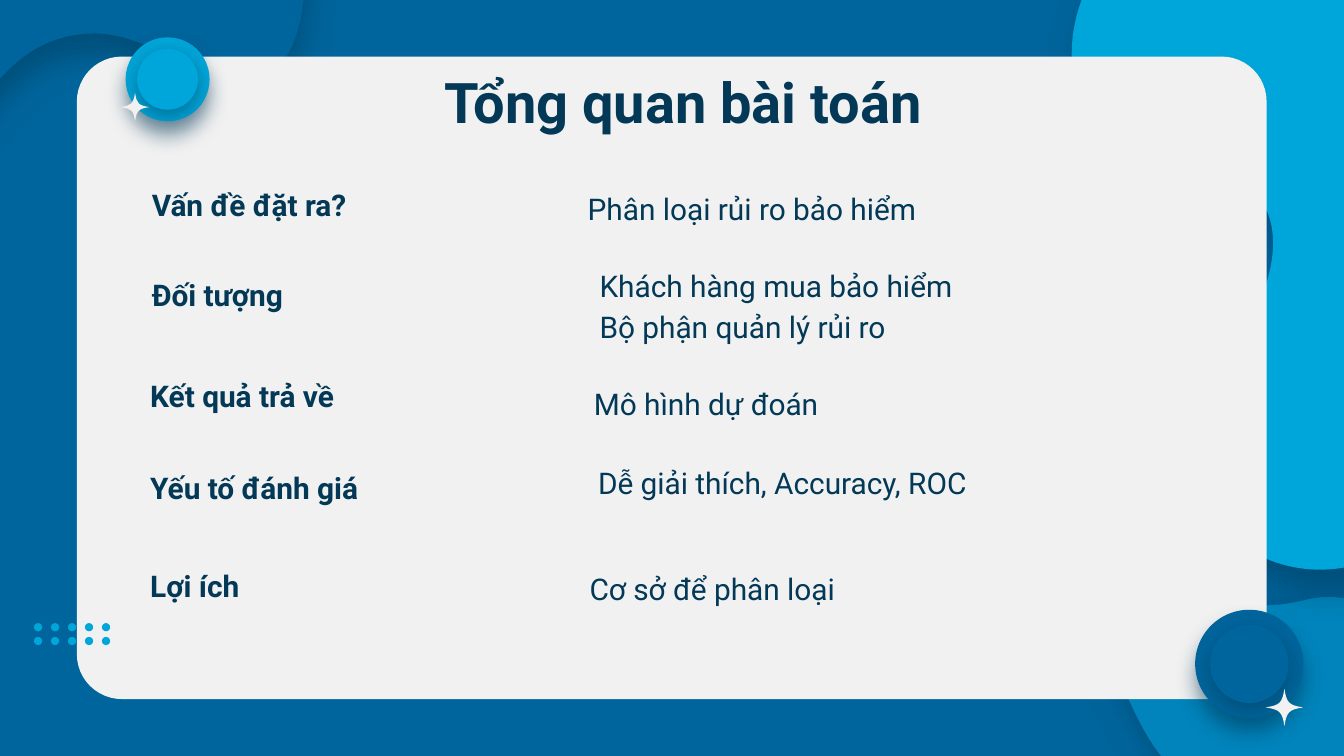
import pptx
import pptx.dml.color
import pptx.enum.shapes
import pptx.enum.text
import pptx.oxml.ns
import pptx.util
from lxml import etree

Pt = pptx.util.Pt
RGBColor = pptx.dml.color.RGBColor
MSO_SHAPE = pptx.enum.shapes.MSO_SHAPE
ALIGN = pptx.enum.text.PP_ALIGN
ANCHOR = pptx.enum.text.MSO_ANCHOR
qn = pptx.oxml.ns.qn

NAVY = RGBColor(0x03, 0x39, 0x57)
BLUE = RGBColor(0x00, 0x65, 0x9C)
MID_BLUE = RGBColor(0x00, 0x84, 0xBB)
CYAN = RGBColor(0x00, 0xA6, 0xD9)
PALE = RGBColor(0xF1, 0xF1, 0xF1)

SLIDE_W, SLIDE_H = 720, 405

# Outlines: a start point, then two control points and an end for each curve.
# The last curve ends at the start point.
BOTTOM_WAVE = [
    (760, 346), (760, 347), (761, 348), (762, 349), (774, 366), (773, 382), (765, 396),
    (747, 424), (706, 442), (673, 437), (649, 433), (634, 421), (622, 405),
    (614, 395), (608, 382), (602, 369), (599, 364), (595, 358), (591, 352),
    (588, 347), (583, 342), (578, 338), (570, 330), (559, 326), (552, 318),
    (551, 316), (549, 314), (549, 312), (547, 306), (548, 299), (551, 294),
    (558, 277), (575, 266), (593, 265), (612, 264), (624, 276), (635, 291),
    (640, 297), (644, 305), (649, 311), (650, 312), (651, 313), (652, 314),
    (662, 328), (686, 325), (701, 321), (724, 316), (747, 328),
]
LEFT_WAVE = [
    (153, 31), (148, 37), (140, 42), (131, 42), (122, 43), (112, 40), (104, 36),
    (86, 28), (68, 17), (48, 18), (23, 19), (6, 33), (-7, 51),
    (-17, 65), (-25, 81), (-33, 95), (-35, 98), (-36, 101), (-38, 103),
    (-51, 120), (-72, 132), (-94, 132), (-122, 133), (-160, 111), (-162, 80),
    (-163, 66), (-158, 53), (-151, 42), (-132, 17), (-91, 1), (-66, -11),
    (-48, -20), (-29, -32), (-15, -46), (-12, -48), (-11, -51), (-9, -53),
    (-4, -60), (0, -67), (1, -75), (7, -110), (-37, -123), (-48, -152),
    (-52, -164), (-49, -175), (-42, -184), (-40, -189), (-35, -193), (-30, -196),
    (-5, -212), (30, -215), (56, -199), (73, -190), (85, -173), (89, -153),
    (93, -132), (73, -89), (91, -73), (99, -64), (110, -71), (117, -77),
    (120, -78), (121, -81), (123, -84), (130, -92), (134, -104), (140, -114),
    (143, -117), (146, -120), (150, -122), (163, -131), (181, -125), (192, -117),
    (199, -111), (203, -102), (202, -94), (201, -90), (199, -86), (197, -83),
    (194, -79), (190, -75), (186, -71), (181, -63), (176, -55), (173, -46),
    (166, -28), (164, -8), (161, 11), (159, 18), (157, 25),
]
RIGHT_WAVE = [
    (868, 118), (872, 123), (875, 130), (876, 138), (876, 145), (876, 153), (873, 160),
    (866, 186), (840, 201), (815, 208), (796, 214), (784, 220), (775, 238),
    (760, 266), (760, 295), (725, 303), (697, 310), (667, 300), (650, 277),
    (647, 272), (644, 266), (642, 261), (630, 228), (653, 199), (669, 173),
    (682, 150), (688, 123), (674, 105), (669, 98), (662, 92), (650, 89),
    (626, 81), (598, 82), (583, 62), (580, 58), (577, 52), (576, 45),
    (570, 20), (579, -10), (597, -28), (620, -52), (653, -57), (684, -50),
    (705, -46), (725, -36), (737, -19), (738, -18), (739, -17), (740, -15),
    (756, 11), (744, 39), (750, 66), (750, 71), (752, 76), (755, 79),
    (768, 97), (800, 96), (820, 98), (840, 99), (858, 104),
]

# Label, its left and top; answer lines, their box and alignment.
ROWS = [
    ("Vấn đề đặt ra?", 74.2, 95.4,
     ["Phân loại rủi ro bảo hiểm"], (256.7, 92.2, 292.3, 32.4), ALIGN.CENTER),
    ("Đối tượng", 74.2, 143.7,
     ["Khách hàng mua bảo hiểm", "Bộ phận quản lý rủi ro"],
     (314.1, 133.2, 226, 67.7), ALIGN.LEFT),
    ("Kết quả trả về", 73.4, 197.6,
     ["Mô hình dự đoán"], (262, 196.6, 232.6, 30.2), ALIGN.CENTER),
    ("Yếu tố đánh giá", 73.4, 247,
     ["Dễ giải thích, Accuracy, ROC"], (313.3, 239, 232.6, 37.4), ALIGN.LEFT),
    ("Lợi ích", 73.4, 299.5,
     ["Cơ sở để phân loại"], (268.6, 295.5, 226, 37.4), ALIGN.CENTER),
]


def add_text(shapes, lines, box, size=16, bold=False, align=ALIGN.LEFT,
             anchor=ANCHOR.TOP, spacing=1.15):
    tf = shapes.add_textbox(*map(Pt, box)).text_frame
    tf.word_wrap = True
    tf.vertical_anchor = anchor
    tf.margin_left = tf.margin_right = tf.margin_top = tf.margin_bottom = Pt(7.2)
    for i, line in enumerate(lines):
        p = tf.add_paragraph() if i else tf.paragraphs[0]
        p.alignment = align
        p.line_spacing = spacing
        r = p.add_run()
        r.text = line
        r.font.name = "Roboto"
        r.font.size = Pt(size)
        r.font.bold = bold
        r.font.color.rgb = NAVY


def style(sp, color, shadow=None):
    """Fill without an outline; shadow is (blur, distance, degrees)."""
    sp.fill.solid()
    sp.fill.fore_color.rgb = color
    sp.line.fill.background()
    sp.shadow.inherit = False
    if shadow:
        blur, distance, degrees = shadow
        effects = sp.element.spPr.find(qn("a:effectLst"))
        outer = etree.SubElement(
            effects, qn("a:outerShdw"), blurRad=str(Pt(blur)), dist=str(Pt(distance)),
            dir=str(degrees * 60000), algn="bl", rotWithShape="0")
        tint = etree.SubElement(outer, qn("a:srgbClr"), val=str(NAVY))
        etree.SubElement(tint, qn("a:alpha"), val="50000")


def add_preset(shapes, kind, box, color, shadow=None):
    sp = shapes.add_shape(kind, *map(Pt, box))
    style(sp, color, shadow)
    return sp


def add_curved(shapes, points, color, shadow=None):
    """Build the outline as segments, then join each three into one Bézier curve."""
    start, *rest = [(Pt(x), Pt(y)) for x, y in points]
    builder = shapes.build_freeform(*start)
    builder.add_line_segments(rest + [start], close=True)
    sp = builder.convert_to_shape()
    segments = list(sp.element.iter(qn("a:lnTo")))
    for i in range(0, len(segments), 3):
        curve = etree.Element(qn("a:cubicBezTo"))
        segments[i].addprevious(curve)
        for segment in segments[i:i + 3]:
            curve.append(segment[0])
            segment.getparent().remove(segment)
    style(sp, color, shadow)


def add_sparkle(shapes, cx, cy, radius):
    quarter = [(0, 1), (0.12, 0.24), (0.24, 0.12)]
    points = []
    for _ in range(4):
        points += [(cx + radius * x, cy + radius * y) for x, y in quarter]
        quarter = [(y, -x) for x, y in quarter]
    add_curved(shapes, points, PALE)


def add_button(slide, box, inset, color, sparkle):
    """Two raised discs in a square box, and a sparkle (x, y, radius) from its corner."""
    left, top, size = box
    shapes = slide.shapes.add_group_shape().shapes
    for gap, drop in ((0, 7.5), (inset, 3.8)):
        side = size - 2 * gap
        add_preset(shapes, MSO_SHAPE.OVAL, (left + gap, top + gap, side, side),
                   color, (11.2, drop, 90))
    x, y, radius = sparkle
    add_sparkle(shapes, left + x, top + y, radius)


def add_dots(slide, left, top, size=4.4, pitch_x=9.1, pitch_y=7.4):
    shapes = slide.shapes.add_group_shape().shapes
    for row in range(2):
        for col in range(5):
            add_preset(shapes, MSO_SHAPE.OVAL,
                       (left + col * pitch_x, top + row * pitch_y, size, size), CYAN)


def add_background(slide):
    slide.background.fill.solid()
    slide.background.fill.fore_color.rgb = BLUE
    shapes = slide.shapes.add_group_shape().shapes
    add_curved(shapes, BOTTOM_WAVE, MID_BLUE, (16.9, 3, 71))
    add_curved(shapes, LEFT_WAVE, BLUE, (16.9, 11.2, 90))
    add_curved(shapes, RIGHT_WAVE, CYAN, (16.9, 11.2, 75))


def add_card(slide, box):
    card = add_preset(slide.shapes, MSO_SHAPE.ROUNDED_RECTANGLE, box, PALE)
    card.adjustments[0] = 0.07


def add_overview(slide):
    add_text(slide.shapes, ["Tổng quan bài toán"], (192.2, 29.2, 347.8, 45.4), size=30,
             bold=True, align=ALIGN.CENTER, spacing=1)
    for label, left, top, answer, box, align in ROWS:
        add_text(slide.shapes, [label], (left, top, 171.4, 31), bold=True,
                 anchor=ANCHOR.BOTTOM)
        add_text(slide.shapes, answer, box, align=align)


def main():
    prs = pptx.Presentation()
    prs.slide_width, prs.slide_height = Pt(SLIDE_W), Pt(SLIDE_H)
    slide = prs.slides.add_slide(prs.slide_layouts[6])
    add_background(slide)
    add_card(slide, (41.2, 30.3, 637.4, 344.2))
    add_overview(slide)
    add_button(slide, (67.3, 20, 45), 6.2, CYAN, (5.1, 37.4, 7.6))
    add_button(slide, (640.3, 326.7, 58), 8, BLUE, (47.8, 52.3, 10))
    add_dots(slide, 18.2, 333.8)
    prs.save("out.pptx")


if __name__ == "__main__":
    main()
